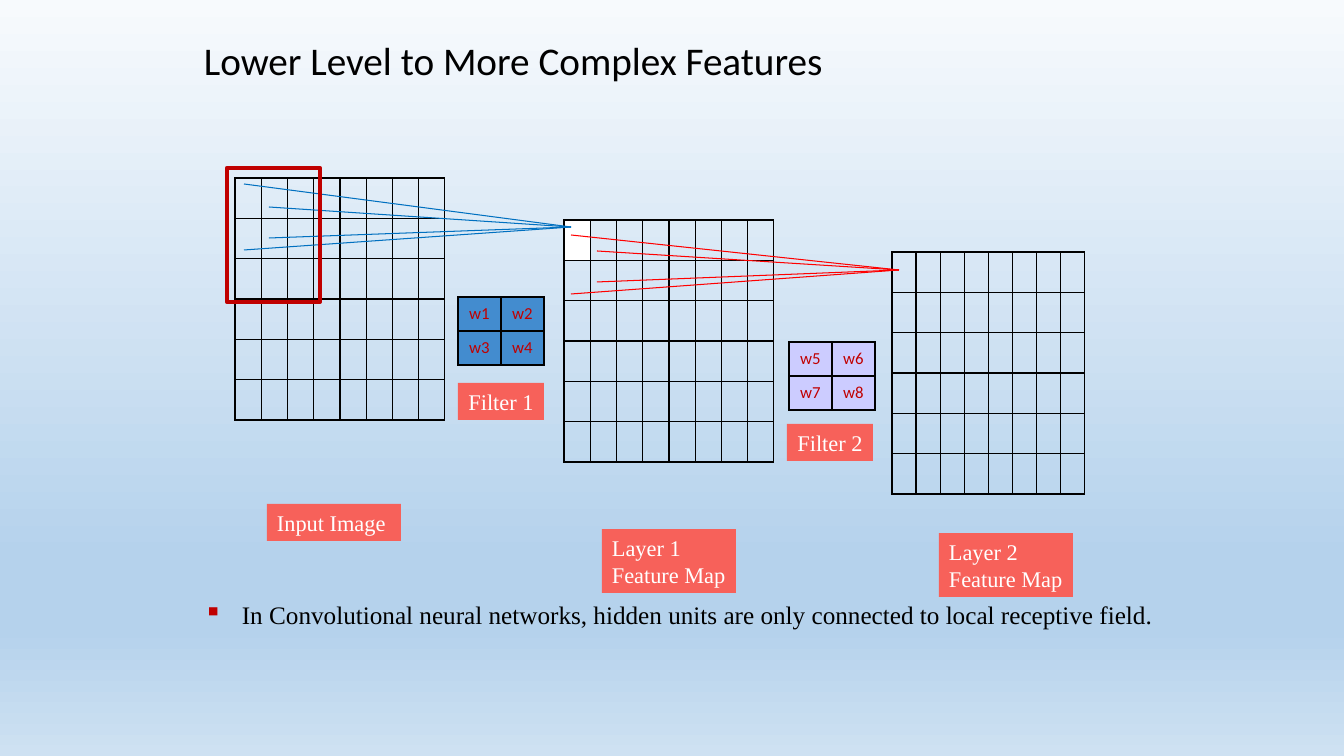
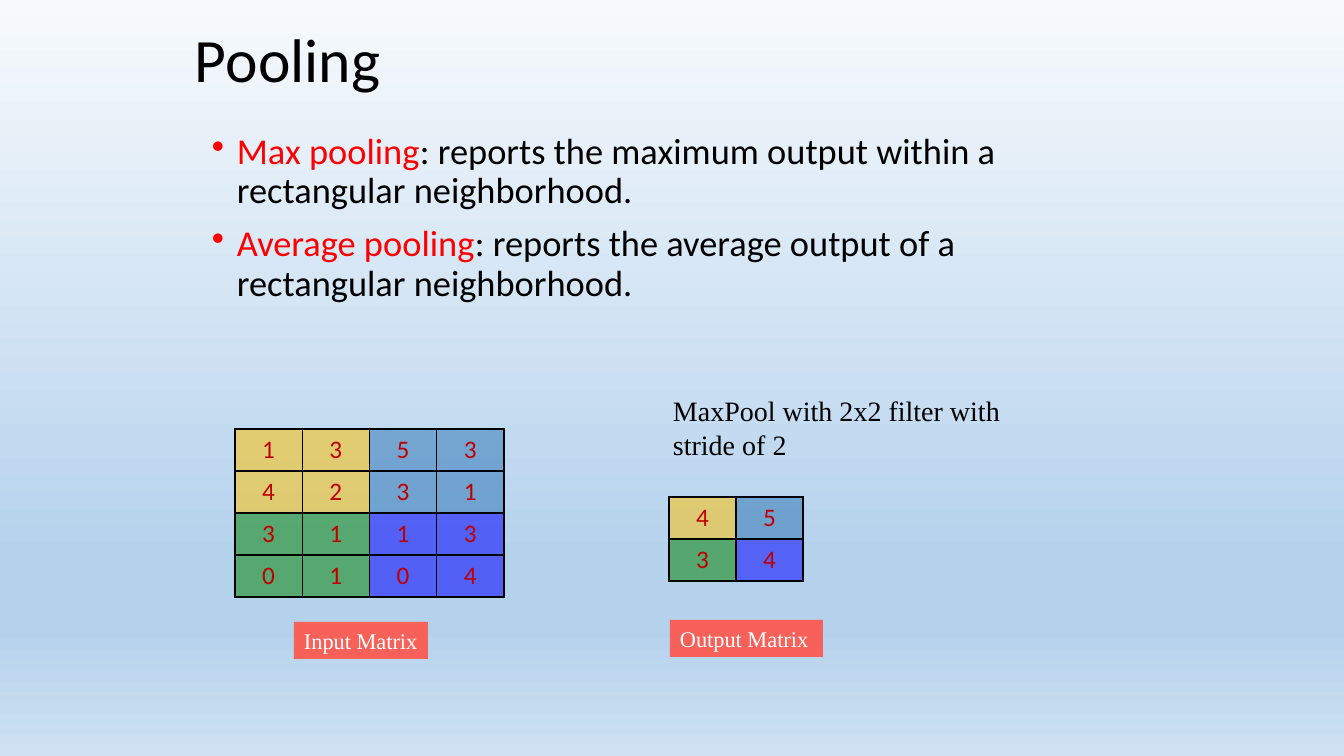
from lxml.etree import SubElement, fromstring
from pptx import Presentation
from pptx.dml.color import RGBColor
from pptx.enum.shapes import MSO_CONNECTOR, MSO_SHAPE
from pptx.enum.text import MSO_ANCHOR, PP_ALIGN
from pptx.oxml.ns import qn
from pptx.util import Emu, Pt

SANS, SERIF = "Calibri", "Times New Roman"
BLACK, WHITE, RED, DARK, CORAL = "000000", "FFFFFF", "FF0000", "C00000", "F7615A"
BLUE, SKY, LILAC = "0070C0", "438CCF", "CCCCFF"
QUADS = ("FFC000", "2E75B6", "008000", "0000FF")
STOPS = ((0, "F7FAFD"), (74, "B5D2EC"), (83, "B5D2EC"), (100, "CEE1F2"))


def px(n):
    """Turn px, at 100.8 to the inch, into EMU."""
    return Emu(round(n * 914400 / 100.8))


def color(code):
    return RGBColor.from_string(code)


def write(frame, paras, size=16, font=SERIF, ink=BLACK, align=PP_ALIGN.LEFT,
          space=None, before=None, bullet=None, dot=None, indent=0):
    """Fill a frame; a paragraph is a string or a list of (text, ink) runs."""
    frame.word_wrap = True
    for i, runs in enumerate([paras] if isinstance(paras, str) else paras):
        para = frame.add_paragraph() if i else frame.paragraphs[0]
        para.alignment = align
        if space:
            para.line_spacing = space
        if before:
            para.space_before = Pt(before)
        if bullet:
            props = para._p.get_or_add_pPr()
            props.set("marL", str(px(indent)))
            props.set("indent", str(-px(indent)))
            if dot:
                SubElement(SubElement(props, qn("a:buClr")), qn("a:srgbClr"), val=dot)
            SubElement(props, qn("a:buChar"), char=bullet)
        for words, hue in [(runs, ink)] if isinstance(runs, str) else runs:
            run = para.add_run()
            run.text = words
            run.font.size, run.font.name = Pt(size), font
            run.font.color.rgb = color(hue)


class Deck:
    """Shared style and the current slide."""

    def __init__(self):
        self.show = Presentation()
        self.show.slide_width, self.show.slide_height = px(1344), px(756)
        self.slide = None
        # Gradient behind every slide
        master = self.show.slide_master
        fill = master.background.fill
        fill.gradient()
        fill.gradient_angle = 270
        stops = master._element.xpath("./p:cSld/p:bg//a:gsLst")[0]
        for stop in list(stops):
            stops.remove(stop)
        for place, code in STOPS:
            stop = SubElement(stops, qn("a:gs"), pos=str(place * 1000))
            SubElement(stop, qn("a:srgbClr"), val=code)

    def page(self, title, left, size):
        self.slide = self.show.slides.add_slide(self.show.slide_layouts[6])
        frame = self.text(left, 0, 857, 126, title, size=size, font=SANS, space=0.9)
        frame.vertical_anchor = MSO_ANCHOR.MIDDLE

    def text(self, x, y, w, h, paras, **style):
        frame = self.slide.shapes.add_textbox(px(x), px(y), px(w), px(h)).text_frame
        write(frame, paras, **style)
        return frame

    def box(self, x, y, w, h, fill=None, edge=None):
        shape = self.slide.shapes.add_shape(MSO_SHAPE.RECTANGLE, px(x), px(y), px(w), px(h))
        shape.shadow.inherit = False
        if fill:
            shape.fill.solid()
            shape.fill.fore_color.rgb = color(fill)
        else:
            shape.fill.background()
        if edge:
            shape.line.color.rgb, shape.line.width = color(edge), Pt(3)
        else:
            shape.line.fill.background()
        return shape

    def label(self, x, y, w, words, h=37, align=PP_ALIGN.LEFT):
        frame = self.box(x, y, w, h, CORAL).text_frame
        frame.vertical_anchor = MSO_ANCHOR.TOP
        write(frame, words, ink=WHITE, align=align)

    def rays(self, tip, starts, ink):
        """Draw lines that meet at one tip."""
        for start in starts:
            line = self.slide.shapes.add_connector(
                MSO_CONNECTOR.STRAIGHT, *map(px, start + tip))
            line.line.color.rgb, line.line.width = color(ink), Pt(0.75)
            SubElement(line._element.spPr, qn("a:effectLst"))

    def paint(self, cell, code, alpha=100):
        cell.fill.solid()
        cell.fill.fore_color.rgb = color(code)
        if alpha < 100:
            tone = cell._tc.tcPr.find(qn("a:solidFill")).find(qn("a:srgbClr"))
            SubElement(tone, qn("a:alpha"), val=str(alpha * 1000))

    def grid(self, x, y, w, h, rows, size=18, fills=None):
        """Draw a table; fills holds (colour, alpha) for each quarter."""
        high, wide = len(rows), len(rows[0])
        table = self.slide.shapes.add_table(high, wide, px(x), px(y), px(w), px(h)).table
        table.first_row = table.horz_banding = False
        for col in table.columns:
            col.width = px(w / wide)
        for r, row in enumerate(rows):
            table.rows[r].height = px(h / high)
            for c, words in enumerate(row):
                cell = table.cell(r, c)
                cell.margin_left = cell.margin_right = 0
                cell.margin_top = cell.margin_bottom = 0
                cell.vertical_anchor = MSO_ANCHOR.MIDDLE
                if words:
                    write(cell.text_frame, words, size=size, font=SANS,
                          ink=DARK, align=PP_ALIGN.CENTER)
                if fills:
                    self.paint(cell, *fills[r * 2 // high * 2 + c * 2 // wide])
                else:
                    cell.fill.background()
                self.frame(cell)
        return table

    def frame(self, cell):
        """Give a cell thin black borders."""
        props = cell._tc.get_or_add_tcPr()
        for i, side in enumerate("LRTB"):
            props.insert(i, fromstring(
                f'<a:ln{side} xmlns:a="http://schemas.openxmlformats.org/drawingml/2006/main"'
                f' w="12700"><a:solidFill><a:srgbClr val="{BLACK}"/></a:solidFill></a:ln{side}>'))


def layers(deck):
    deck.page("Lower Level to More Complex Features", 194, 28)
    deck.text(194, 588, 975, 46,
              "In Convolutional neural networks, hidden units are only connected "
              "to local receptive field.",
              size=18, space=1.2, bullet="▪", dot=DARK, indent=38)
    # Input and feature maps
    blank = [[""] * 8] * 6
    maps = [deck.grid(x, y, w, 242, blank)
            for x, y, w in ((235, 178, 210), (564, 220, 210), (892, 252, 193))]
    deck.paint(maps[1].cell(0, 0), WHITE)
    # Links from fields to units
    deck.rays((571, 227), ((244, 184), (269, 207), (269, 238), (244, 250)), BLUE)
    deck.rays((899, 270), ((571, 235), (597, 251), (597, 282), (571, 294)), RED)
    # Map labels
    deck.label(267, 504, 134, "Input Image")
    deck.label(602, 529, 134, "Layer 1 Feature Map", h=64)
    deck.label(939, 533, 134, "Layer 2 Feature Map", h=64)
    # Filters
    deck.grid(458, 297, 86, 68, (("w1", "w2"), ("w3", "w4")), 12, [(SKY,)] * 4)
    deck.grid(789, 342, 86, 68, (("w5", "w6"), ("w7", "w8")), 12, [(LILAC,)] * 4)
    deck.label(458, 383, 86, "Filter 1", align=PP_ALIGN.CENTER)
    deck.label(787, 424, 86, "Filter 2", align=PP_ALIGN.CENTER)
    # Receptive field
    deck.box(227, 168, 93, 134, edge=DARK)


def pooling(deck):
    deck.page("Pooling", 185, 44)
    deck.text(202, 128, 941, 454, (
        (("Max pooling", RED),
         (": reports the maximum output within a rectangular neighborhood.", BLACK)),
        (("Average pooling", RED),
         (": reports the average output of a rectangular neighborhood.", BLACK)),
    ), size=26, font=SANS, space=0.9, before=10, bullet="•", dot=RED, indent=25)
    # Input matrix
    deck.grid(235, 429, 269, 168, ("1353", "4231", "3113", "0104"),
              fills=list(zip(QUADS, (52, 52, 52, 54))))
    deck.label(294, 622, 134, "Input Matrix")
    # Output matrix
    deck.text(663, 389, 378, 78, "MaxPool with 2x2 filter with stride of 2", size=20)
    deck.grid(669, 497, 134, 84, ("45", "34"),
              fills=list(zip(QUADS, (52, 53, 53, 53))))
    deck.label(670, 620, 153, "Output Matrix")


def main():
    deck = Deck()
    layers(deck)
    pooling(deck)
    deck.show.save("out.pptx")


if __name__ == "__main__":
    main()
